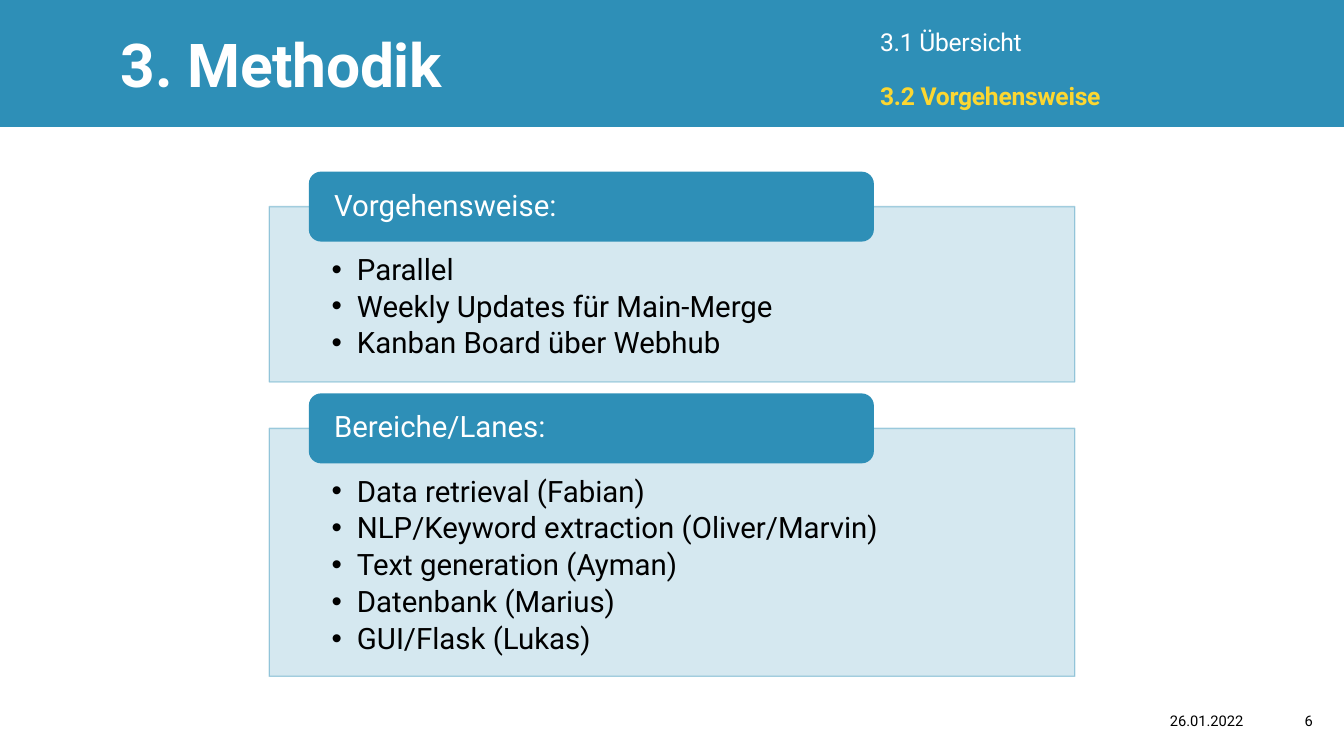
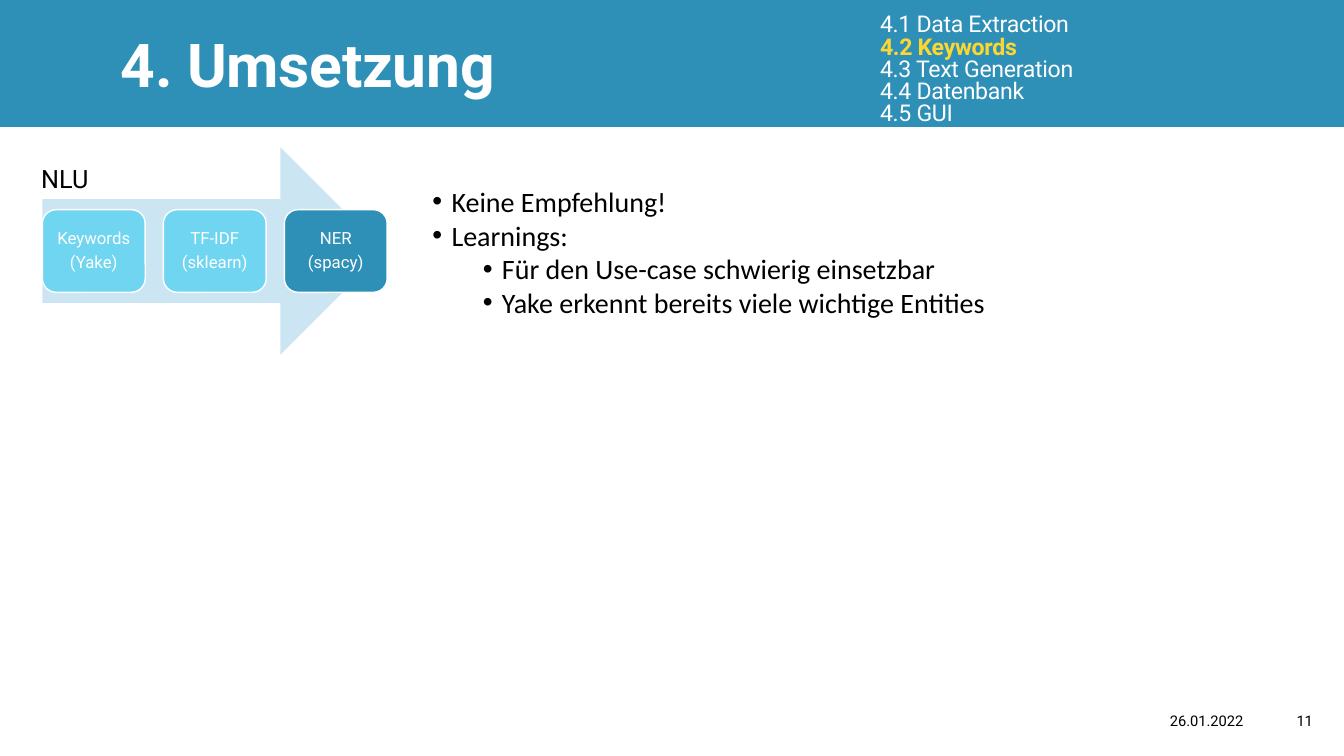
"""Build two project slides: working method and keyword implementation."""
from lxml import etree
from pptx import Presentation
from pptx.dml.color import RGBColor
from pptx.enum.shapes import MSO_SHAPE as Preset
from pptx.enum.text import MSO_ANCHOR as Anchor, PP_ALIGN as Align
from pptx.oxml.ns import qn
from pptx.util import Inches, Pt

COLORS = {"blue": "2E8FB7", "sky": "6FD5F0", "pale": "CCE5F3",
          "yellow": "FCD731", "white": "FFFFFF", "black": "000000"}
DATE = "26.01.2022"

METHOD = {
    "title": "3. Methodik", "number": "6", "active": "3.2 Vorgehensweise",
    "menu": ["3.1 Übersicht", "3.2 Vorgehensweise"],
    "menu_style": {"size": 17.6, "line": 0.9, "gap": 19},
}
PANELS = [
    ("Vorgehensweise:", ["Parallel", "Weekly Updates für Main-Merge",
                         "Kanban Board über Webhub"]),
    ("Bereiche/Lanes:", ["Data retrieval (Fabian)",
                         "NLP/Keyword extraction (Oliver/Marvin)",
                         "Text generation (Ayman)", "Datenbank (Marius)",
                         "GUI/Flask (Lukas)"]),
]

REALISATION = {
    "title": "4. Umsetzung", "number": "11", "active": "4.2 Keywords",
    "menu": ["4.1 Data Extraction", "4.2 Keywords", "4.3 Text Generation",
             "4.4 Datenbank", "4.5 GUI"],
    "menu_style": {"size": 16.5, "line": 0.8},
}
STAGES = [("Keywords", "(Yake)", "sky"), ("TF-IDF", "(sklearn)", "sky"),
          ("NER", "(spacy)", "blue")]
FINDINGS = [("Keine Empfehlung!", 0), ("Learnings:", 0),
            ("Für den Use-case schwierig einsetzbar", 1),
            ("Yake erkennt bereits viele wichtige Entities", 1)]


def rgb(name):
    return RGBColor.from_string(COLORS[name])


def set_alpha(fill_parent, percent):
    color = fill_parent.find(qn("a:solidFill"))[0]
    etree.SubElement(color, qn("a:alpha")).set("val", str(percent * 1000))


def add_box(slide, preset, box, fill, line=None):
    shape = slide.shapes.add_shape(preset, *map(Inches, box))
    shape.shadow.inherit = False
    shape.fill.solid()
    shape.fill.fore_color.rgb = rgb(fill)
    if line:
        shape.line.color.rgb = rgb(line)
        shape.line.width = Pt(1)
    else:
        shape.line.fill.background()
    return shape


def set_frame(shape, anchor=Anchor.MIDDLE, margins=(0.1, 0.05, 0.1, 0.05)):
    frame = shape.text_frame
    frame.word_wrap = True
    frame.vertical_anchor = anchor
    (frame.margin_left, frame.margin_top,
     frame.margin_right, frame.margin_bottom) = map(Inches, margins)
    return frame


def add_text_box(slide, box, **frame_style):
    return set_frame(slide.shapes.add_textbox(*map(Inches, box)), **frame_style)


def add_line(frame, text, size, color="black", font="Roboto", bold=False,
             align=Align.LEFT, line=1.0, gap=0, tracking=None, bullet=None):
    """Fill the first empty paragraph or append one; bullet is (margin, hang)."""
    paragraph = frame.paragraphs[0]
    if paragraph.runs:
        paragraph = frame.add_paragraph()
        paragraph.space_before = Pt(gap)
    if bullet:
        margin, hang = bullet
        properties = paragraph._p.get_or_add_pPr()
        properties.set("marL", str(Inches(margin)))
        properties.set("indent", str(-Inches(hang)))
        etree.SubElement(properties, qn("a:buFont")).set("typeface", "Arial")
        etree.SubElement(properties, qn("a:buChar")).set("char", "•")
    paragraph.alignment = align
    paragraph.line_spacing = line
    run = paragraph.add_run()
    run.text = text
    run.font.name = font
    run.font.size = Pt(size)
    run.font.bold = bold
    run.font.color.rgb = rgb(color)
    if tracking:
        run._r.get_or_add_rPr().set("spc", str(tracking))


def add_slide(presentation, content):
    slide = presentation.slides.add_slide(presentation.slide_layouts[6])
    add_box(slide, Preset.RECTANGLE, (0, 0, 13.33, 1.26), "blue")
    title = add_text_box(slide, (1.1, 0.21, 6, 0.84))
    add_line(title, content["title"], 43.2, "white", bold=True, tracking=-20)
    menu = add_text_box(slide, (8.63, 0.05, 4.6, 1.3))
    for entry in content["menu"]:
        active = entry == content["active"]
        add_line(menu, entry, color="yellow" if active else "white",
                 bold=active, tracking=-20, **content["menu_style"])
    for text, left, width in ((DATE, 7.67, 4.76),
                              (content["number"], 12.43, 0.69)):
        footer = add_text_box(slide, (left, 6.95, width, 0.4))
        add_line(footer, text, 10.5, align=Align.RIGHT)
    return slide


def add_panels(slide):
    top = 2.05
    for heading, items in PANELS:
        height = 0.66 + 0.36 * len(items)
        panel = add_box(slide, Preset.RECTANGLE, (2.67, top, 7.99, height),
                        "blue", "blue")
        set_alpha(panel._element.spPr, 20)
        set_alpha(panel.line._ln, 40)
        body = set_frame(panel, Anchor.TOP, (0.62, 0.48, 0.62, 0.16))
        for item in items:
            add_line(body, item, 21, line=0.9, gap=3.6, bullet=(0.25, 0.25))
        tab = add_box(slide, Preset.ROUNDED_RECTANGLE,
                      (3.07, top - 0.34, 5.59, 0.68), "blue", "blue")
        add_line(set_frame(tab, margins=(0.21, 0, 0.21, 0)), heading, 21,
                 "white", line=0.9)
        top += height + 0.46


def add_pipeline(slide):
    add_box(slide, Preset.RIGHT_ARROW, (0.42, 1.46, 3.39, 2.06), "pale")
    for index, (name, library, fill) in enumerate(STAGES):
        stage = add_box(slide, Preset.ROUNDED_RECTANGLE,
                        (0.42 + 1.2 * index, 2.08, 1.02, 0.82), fill, "white")
        frame = set_frame(stage, margins=(0.05, 0.05, 0.05, 0.05))
        for text in (name, library):
            add_line(frame, text, 12, "white", align=Align.CENTER,
                     line=0.9, gap=4.4)
    add_line(add_text_box(slide, (0.31, 1.57, 1.57, 0.4)), "NLU", 18)


def add_findings(slide):
    frame = add_text_box(slide, (4.19, 1.78, 6.1, 1.45), anchor=Anchor.TOP)
    for text, level in FINDINGS:
        add_line(frame, text, 20, font="Calibri",
                 bullet=(0.19 + 0.5 * level, 0.19))


def main():
    presentation = Presentation()
    presentation.slide_width = Inches(13.33)
    presentation.slide_height = Inches(7.5)
    add_panels(add_slide(presentation, METHOD))
    realisation = add_slide(presentation, REALISATION)
    add_findings(realisation)
    add_pipeline(realisation)
    presentation.save("out.pptx")


if __name__ == "__main__":
    main()
